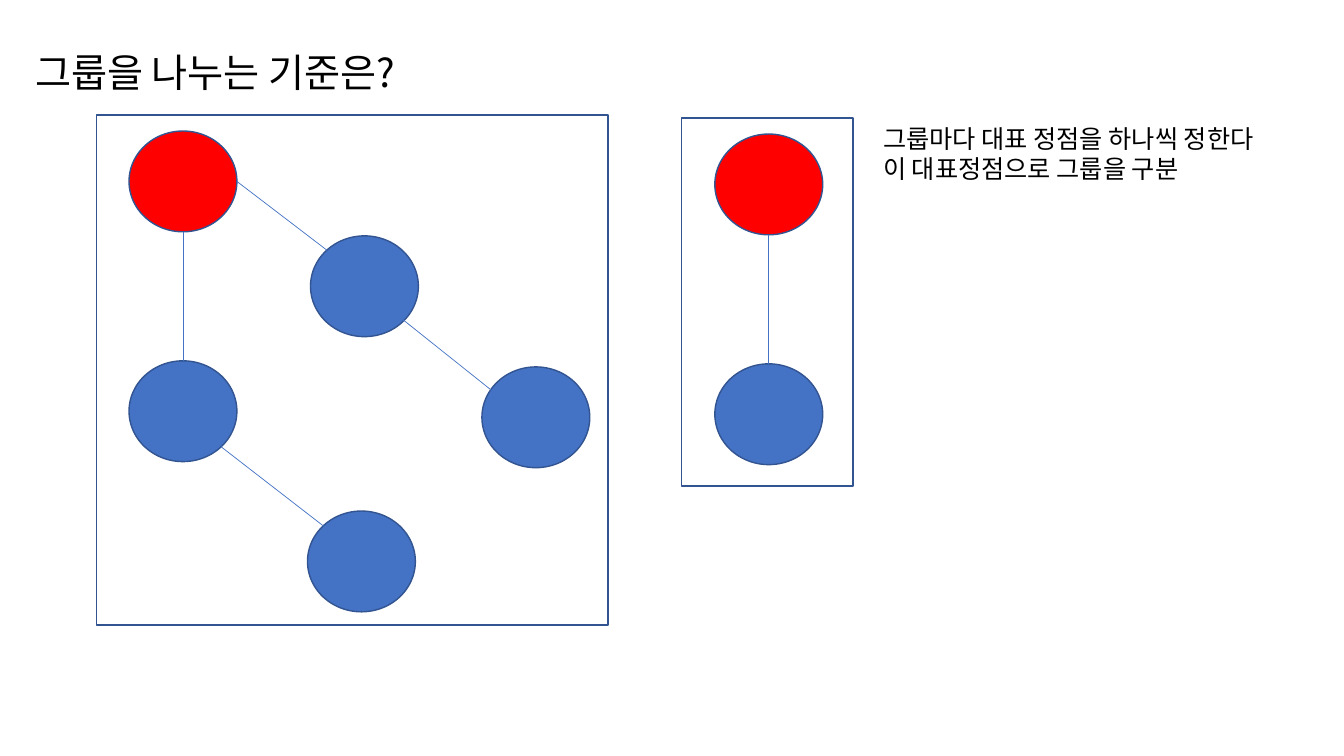
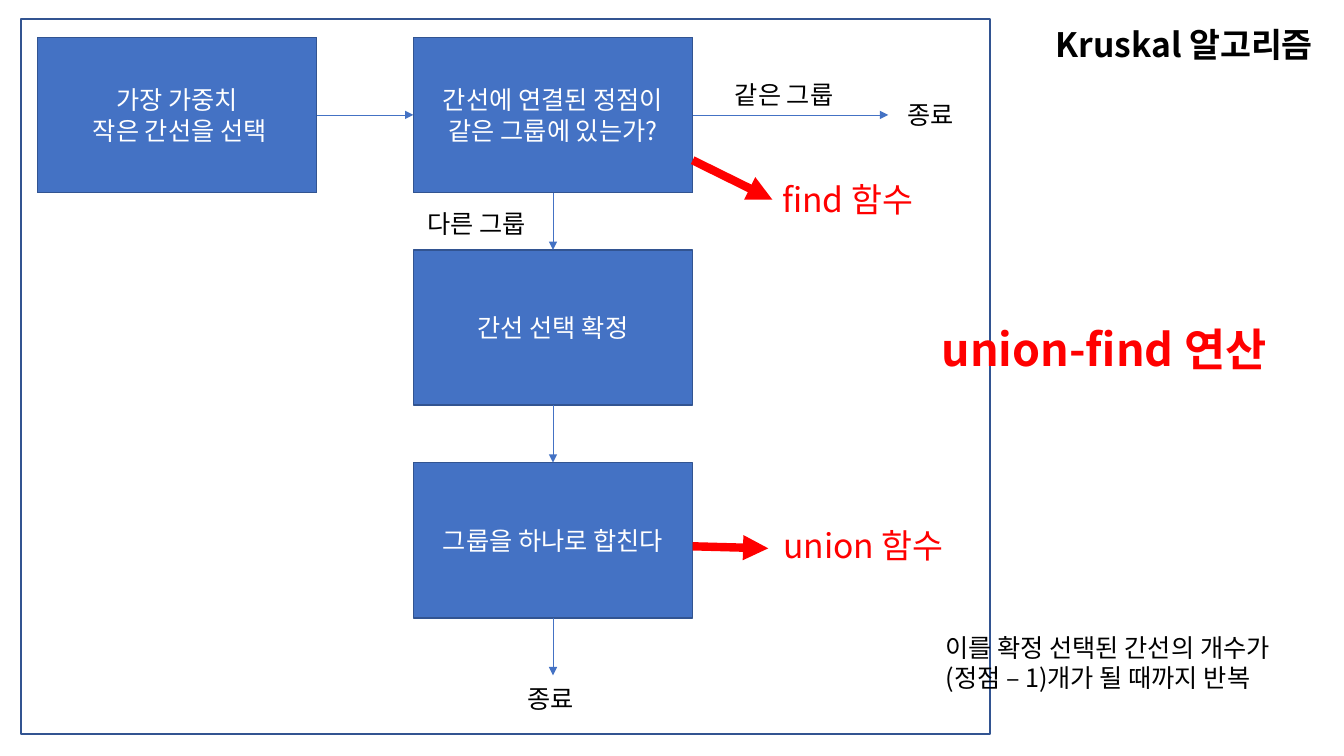
from lxml.etree import SubElement
from pptx import Presentation
from pptx.dml.color import RGBColor
from pptx.enum.shapes import MSO_CONNECTOR, MSO_SHAPE
from pptx.enum.text import MSO_ANCHOR, MSO_AUTO_SIZE, PP_ALIGN
from pptx.oxml.ns import qn
from pptx.util import Inches, Pt

FONT = "Noto Sans CJK KR"
COLORS = {"node": "4472C4", "outline": "325491", "accent": "FF0000",
          "text": "000000", "light": "FFFFFF"}

# Slide 1: groups of vertices; the first vertex represents its group
TITLE = "그룹을 나누는 기준은?"
EXPLANATION = "그룹마다 대표 정점을 하나씩 정한다\n이 대표정점으로 그룹을 구분"
NODE_SIZE = (1.07, 1)
VERTEX_GROUPS = [
    {"frame": (6.76, 1.17, 1.7, 3.65),
     "nodes": [(7.09, 1.33), (7.09, 3.61)],
     "edges": [((7.62, 3.61), (7.62, 2.33))]},
    {"frame": (0.96, 1.14, 5.07, 5.06),
     "nodes": [(1.28, 1.3), (1.28, 3.58), (3.08, 2.34), (3.05, 5.07), (4.78, 3.64)],
     "edges": [((3.21, 5.22), (2.19, 4.43)), ((4.91, 3.9), (3.97, 3.15)),
               ((1.82, 3.58), (1.82, 2.3)), ((3.24, 2.48), (2.35, 1.8))]},
]

# Slide 2: flow chart on a grid of (column, row) cells
STEPS = [
    (0, 0, "가장 가중치\n 작은 간선을 선택"),
    (1, 0, "간선에 연결된 정점이\n같은 그룹에 있는가?"),
    (1, 1, "간선 선택 확정"),
    (1, 2, "그룹을 하나로 합친다"),
]
STEP_LEFT, STEP_TOP = 0.37, 0.37
STEP_WIDTH, STEP_HEIGHT = 2.77, 1.54
COLUMN_PITCH, ROW_PITCH = 3.73, 2.11
SAME_GROUP_END = 8.81
CHART_FRAME = (0.21, 0.19, 9.61, 7.09)
LABELS = [  # text, box, formatting
    ("같은 그룹", (7.19, 0.74, 1.3, 0.4), {}),
    ("다른 그룹", (4.14, 2.02, 1.3, 0.4), {}),
    ("종료", (8.9, 0.94, 0.71, 0.4), {}),
    ("종료", (5.13, 6.73, 0.71, 0.4), {}),
    ("Kruskal 알고리즘", (9.98, 0.19, 3.14, 0.5),
     {"size": 24, "bold": True, "align": PP_ALIGN.RIGHT, "wrap": True}),
    ("이를 확정 선택된 간선의 개수가\n(정점 – 1)개가 될 때까지 반복",
     (9.28, 6.22, 3.84, 0.71), {"wrap": True}),
    ("find 함수", (7.66, 1.73, 1.58, 0.5), {"size": 24, "color": "accent"}),
    ("union 함수", (7.67, 5.16, 1.86, 0.5),
     {"size": 24, "color": "accent", "wrap": True}),
    ("union-find 연산", (9.24, 3.14, 3.51, 0.64),
     {"size": 32, "color": "accent", "bold": True, "wrap": True}),
]
POINTERS = [(1.59, (7.66, 1.98)), (5.42, (7.62, 5.44))]  # start height, tip


def rgb(name):
    """Return the named colour."""
    return RGBColor.from_string(COLORS[name])


def write(shape, text, size=18, color="text", bold=None, align=PP_ALIGN.LEFT,
          anchor=MSO_ANCHOR.TOP, wrap=False):
    """Fill a shape with text and format every run."""
    frame = shape.text_frame
    frame.text = text
    frame.word_wrap = wrap
    frame.vertical_anchor = anchor
    for paragraph in frame.paragraphs:
        paragraph.alignment = align
        for run in paragraph.runs:
            run.font.size = Pt(size)
            run.font.bold = bold
            run.font.name = FONT
            run.font.color.rgb = rgb(color)
            SubElement(run.font._element, qn("a:ea"), typeface=FONT)


def add_label(slide, text, box, **formatting):
    """Add a text box that grows with its text."""
    label = slide.shapes.add_textbox(*map(Inches, box))
    write(label, text, **formatting)
    label.text_frame.auto_size = MSO_AUTO_SIZE.SHAPE_TO_FIT_TEXT
    return label


def add_outlined(shapes, kind, box, fill=None):
    """Add an outlined preset shape, hollow unless a fill is named."""
    shape = shapes.add_shape(kind, *map(Inches, box))
    shape.shadow.inherit = False
    if fill:
        shape.fill.solid()
        shape.fill.fore_color.rgb = rgb(fill)
    else:
        shape.fill.background()
    shape.line.color.rgb = rgb("outline")
    shape.line.width = Pt(1)
    return shape


def add_line(shapes, start, end, color="node", width=0.5, arrow=False):
    """Add a straight connector, optionally with an arrowhead at its end."""
    connector = shapes.add_connector(MSO_CONNECTOR.STRAIGHT, *map(Inches, start + end))
    connector.line.color.rgb = rgb(color)
    connector.line.width = Pt(width)
    if arrow:
        SubElement(connector.line._get_or_add_ln(), qn("a:tailEnd"), type="triangle")
    SubElement(connector._element.spPr, qn("a:effectLst"))


def build_groups(slide):
    """Draw the vertex groups and the rule that tells them apart."""
    title = add_label(slide, TITLE, (0.25, 0.02, 11.5, 1.45), size=28,
                      anchor=MSO_ANCHOR.MIDDLE, wrap=True)
    title.text_frame.auto_size = MSO_AUTO_SIZE.NONE
    title.text_frame.paragraphs[0].line_spacing = 0.9
    add_label(slide, EXPLANATION, (8.66, 1.17, 4.35, 0.71))
    for vertex_group in VERTEX_GROUPS:
        shapes = slide.shapes.add_group_shape().shapes
        add_outlined(shapes, MSO_SHAPE.RECTANGLE, vertex_group["frame"])
        for index, position in enumerate(vertex_group["nodes"]):
            add_outlined(shapes, MSO_SHAPE.OVAL, position + NODE_SIZE,
                         "node" if index else "accent")
        for start, end in vertex_group["edges"]:
            add_line(shapes, start, end)


def build_flow_chart(slide):
    """Draw the steps of the algorithm, their arrows and labels."""
    shapes = slide.shapes
    for column, row, text in STEPS:
        box = (STEP_LEFT + column * COLUMN_PITCH, STEP_TOP + row * ROW_PITCH,
               STEP_WIDTH, STEP_HEIGHT)
        step = add_outlined(shapes, MSO_SHAPE.FLOWCHART_PROCESS, box, "node")
        write(step, text, color="light", align=PP_ALIGN.CENTER,
              anchor=MSO_ANCHOR.MIDDLE, wrap=True)

    second_left = STEP_LEFT + COLUMN_PITCH
    second_right = second_left + STEP_WIDTH
    middle_x = second_left + STEP_WIDTH / 2
    middle_y = STEP_TOP + STEP_HEIGHT / 2
    for row in range(3):
        top = STEP_TOP + row * ROW_PITCH
        add_line(shapes, (middle_x, top + STEP_HEIGHT), (middle_x, top + ROW_PITCH),
                 arrow=True)
    for left, right in [(STEP_LEFT + STEP_WIDTH, second_left),
                        (second_right, SAME_GROUP_END)]:
        add_line(shapes, (left, middle_y), (right, middle_y), arrow=True)

    add_outlined(shapes, MSO_SHAPE.FLOWCHART_PROCESS, CHART_FRAME)
    for text, box, formatting in LABELS:
        add_label(slide, text, box, **formatting)
    for start_y, tip in POINTERS:
        add_line(shapes, (second_right, start_y), tip, "accent", 6, arrow=True)


presentation = Presentation()
presentation.slide_width = Inches(13.33)
presentation.slide_height = Inches(7.5)
for build in (build_groups, build_flow_chart):
    build(presentation.slides.add_slide(presentation.slide_layouts[6]))
presentation.save("out.pptx")
